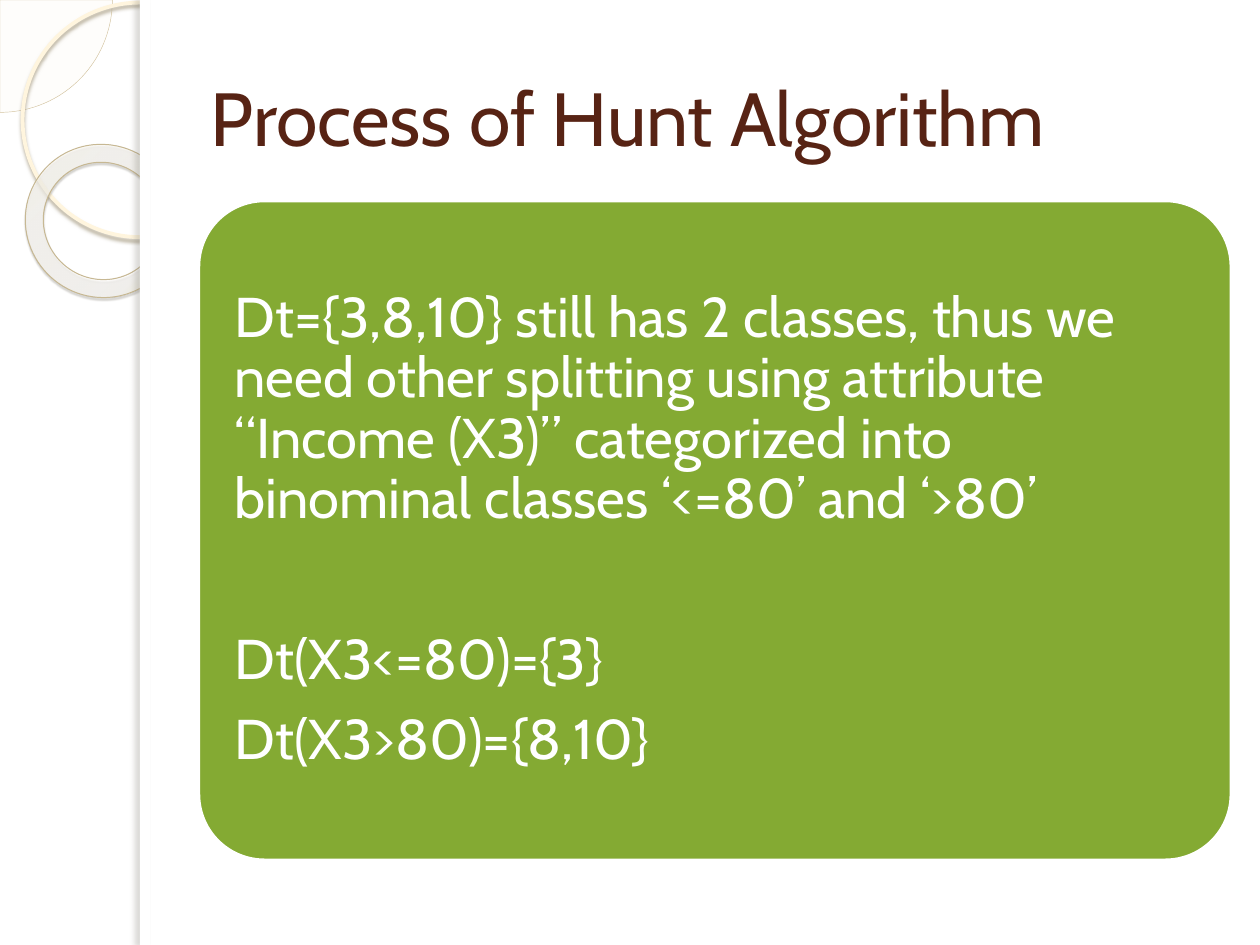
from dataclasses import dataclass
from typing import Optional

from lxml import etree
from pptx import Presentation
from pptx.dml.color import RGBColor
from pptx.enum import shapes, text
from pptx.oxml import ns, parse_xml
from pptx.util import Pt

KIND = shapes.MSO_SHAPE


@dataclass(frozen=True)
class Theme:
    font: str = "Cabin"
    title_size: float = 43
    body_size: float = 32
    title: str = "572314"
    white: str = "FFFFFF"
    card: str = "84AA33"


@dataclass(frozen=True)
class Shadow:
    color: str
    alpha: int
    blur: float
    distance: float
    angle: int


@dataclass(frozen=True)
class Shape:
    kind: KIND
    box: tuple[float, float, float, float]
    fill: Optional[str] = None
    alpha: int = 100
    line: Optional[str] = None
    width: float = 0
    adjust: tuple[float, ...] = ()
    rotation: float = 0
    shadow: Optional[Shadow] = None


THEME = Theme()

# Side decoration and white content panel, from back to front
QUARTER = Shape(KIND.PIE, (-64.2, -64.2, 128.4, 128.4), "FEFAF4", 33,
                "D3C39F", 0.25, (0, 54))
RING = Shape(KIND.OVAL, (12.9, 1.5, 134, 134), line="FFF5DE", width=2.15,
             shadow=Shadow("B0A68F", 85, 2, 2, 90))
DONUT = Shape(KIND.DONUT, (14.2, 82.8, 88.5, 87), line="C7B893", width=0.58,
              adjust=(0.118,), rotation=38.6,
              shadow=Shadow("5A5444", 35, 1, 1.2, 75))
PANEL = Shape(KIND.RECTANGLE, (80, 0, 640, 540), THEME.white)
PANEL_EDGE = Shape(KIND.RECTANGLE, (80, 0, 5.8, 540), THEME.white,
                   shadow=Shadow("736F63", 25, 3, 3, 180))
CARD = Shape(KIND.ROUNDED_RECTANGLE, (113.4, 114.6, 590.2, 377), THEME.card,
             line=THEME.white, width=2, adjust=(0.1,))

DONUT_STOPS = ((0, "FFFCF6", 70), (70, "FFFEFB", 55), (100, "F0D28E", 60))

TITLE = "Process of Hunt Algorithm"
STEPS = (
    "Dt={3,8,10} still has 2 classes, thus we need other splitting using "
    "attribute “Income (X3)” categorized into binominal classes "
    "‘<=80’ and ‘>80’",
    "Dt(X3<=80)={3}",
    "Dt(X3>80)={8,10}",
)


def set_alpha(color, percent: int) -> None:
    etree.SubElement(color, ns.qn("a:alpha"), val=str(percent * 1000))


def add_shadow(shape, shadow: Shadow) -> None:
    effects = shape._element.spPr.find(ns.qn("a:effectLst"))
    outer = etree.SubElement(
        effects, ns.qn("a:outerShdw"), blurRad=str(Pt(shadow.blur)),
        dist=str(Pt(shadow.distance)), dir=str(shadow.angle * 60000),
        algn="ctr", rotWithShape="0")
    color = etree.SubElement(outer, ns.qn("a:srgbClr"), val=shadow.color)
    set_alpha(color, shadow.alpha)


def add_shape(slide, item: Shape):
    shape = slide.shapes.add_shape(item.kind, *(Pt(v) for v in item.box))
    shape.rotation = item.rotation
    for index, value in enumerate(item.adjust):
        shape.adjustments[index] = value
    if item.fill:
        shape.fill.solid()
        shape.fill.fore_color.rgb = RGBColor.from_string(item.fill)
        if item.alpha < 100:
            set_alpha(shape._element.spPr.find(".//" + ns.qn("a:srgbClr")), item.alpha)
    else:
        shape.fill.background()
    if item.line:
        shape.line.color.rgb = RGBColor.from_string(item.line)
        shape.line.width = Pt(item.width)
    else:
        shape.line.fill.background()
    shape.shadow.inherit = False
    if item.shadow:
        add_shadow(shape, item.shadow)
    return shape


def fill_radial(shape, stops: tuple[tuple[int, str, int], ...]) -> None:
    gradient = parse_xml(
        f'<a:gradFill {ns.nsdecls("a")} rotWithShape="1"><a:gsLst/>'
        '<a:path path="circle"><a:fillToRect l="-408000" t="-50000" '
        'r="508000" b="150000"/></a:path></a:gradFill>')
    for position, rgb, alpha in stops:
        stop = etree.SubElement(gradient[0], ns.qn("a:gs"), pos=str(position * 1000))
        set_alpha(etree.SubElement(stop, ns.qn("a:srgbClr"), val=rgb), alpha)
    properties = shape._element.spPr
    properties.replace(properties.find(ns.qn("a:noFill")), gradient)


def write(frame, words: str, size: float, color: str) -> None:
    frame.text = words
    frame.word_wrap = True
    frame.vertical_anchor = text.MSO_ANCHOR.MIDDLE
    for paragraph in frame.paragraphs:
        paragraph.alignment = text.PP_ALIGN.LEFT
        for run in paragraph.runs:
            run.font.name = THEME.font
            run.font.size = Pt(size)
            run.font.color.rgb = RGBColor.from_string(color)


def main() -> None:
    deck = Presentation()
    deck.slide_width, deck.slide_height = Pt(720), Pt(540)
    slide = deck.slides.add_slide(deck.slide_layouts[6])

    # Decoration
    add_shape(slide, QUARTER)
    add_shape(slide, RING)
    fill_radial(add_shape(slide, DONUT), DONUT_STOPS)
    add_shape(slide, PANEL)
    add_shape(slide, PANEL_EDGE)

    # Title
    title = slide.shapes.add_textbox(Pt(113.4), Pt(21.6), Pt(590.2), Pt(90))
    write(title.text_frame, TITLE, THEME.title_size, THEME.title)

    # Card with the splitting step and its resulting sets
    steps = add_shape(slide, CARD).text_frame
    steps.margin_left = steps.margin_right = Pt(9.6)
    steps.margin_top = steps.margin_bottom = Pt(9.6)
    write(steps, "\n".join(STEPS), THEME.body_size, THEME.white)
    for paragraph in steps.paragraphs:
        paragraph.line_spacing = 0.9
        paragraph.space_after = Pt(11.4)
    steps.paragraphs[1].space_before = Pt(45.8)

    deck.save("out.pptx")


if __name__ == "__main__":
    main()
